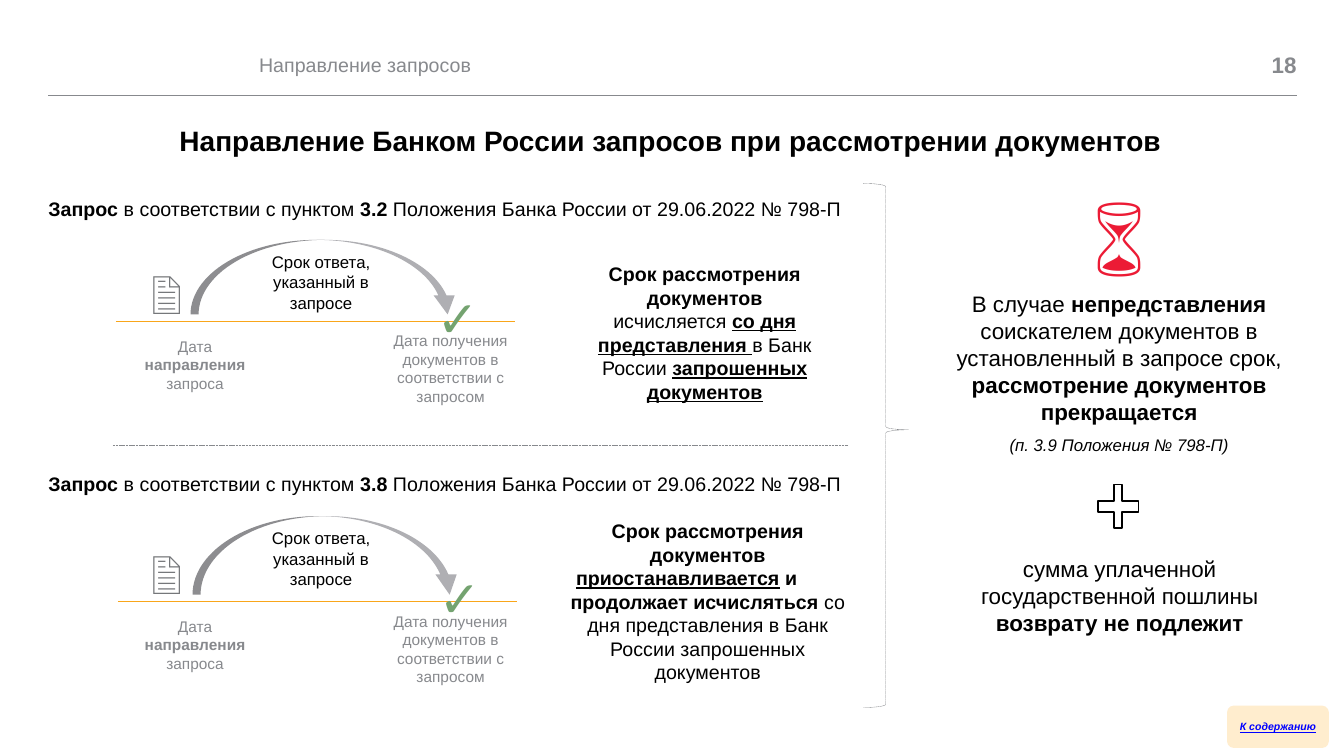
"""Builds the slide on requests sent while documents are under review."""
from math import cos, sin, pi
from lxml.etree import SubElement
from pptx import Presentation
from pptx.dml.color import RGBColor as Rgb
from pptx.enum.dml import MSO_LINE as Dash
from pptx.enum.shapes import MSO_CONNECTOR as Conn, MSO_SHAPE as Kind
from pptx.enum.text import MSO_ANCHOR as Anchor, MSO_AUTO_SIZE as Fit, PP_ALIGN as Align
from pptx.oxml.ns import qn
from pptx.util import Inches, Pt

BLACK = Rgb(0x00, 0x00, 0x00)
GREY = Rgb(0x87, 0x89, 0x8D)
DARK = Rgb(0x75, 0x77, 0x7A)
TAIL = Rgb(0x8D, 0x8D, 0x90)
HEAD = Rgb(0xAF, 0xAF, 0xB3)
GOLD = Rgb(0xF9, 0xA6, 0x1A)
GREEN = Rgb(0x74, 0xA3, 0x70)
RED = Rgb(0xEC, 0x1B, 0x35)
CREAM = Rgb(0xFF, 0xED, 0xCE)
BLUE = Rgb(0x00, 0x00, 0xFF)
SANS, ICON = "Arial", "Open Sans"

WIDE, HIGH = 13.33, 7.5
LEFT, RIGHT = 0.48, 12.86
RULE = 0.95
PAD = 0.05

TITLE = [[("Направление Банком России запросов при рассмотрении документов", "b")]]
TOPIC = [[("Направление запросов", "")]]
PAGE = [[("18", "b")]]
LINK = [[("К содержанию", "biu")]]
REPLY = [[("Срок ответа, указанный в запросе", "")]]
SENT = [[("Дата ", ""), ("направления ", "b"), ("запроса", "")]]
GOT = [[("Дата получения документов в соответствии с запросом", "")]]
TERM = ("Срок рассмотрения документов", "b")

COUNTED = [
    [TERM],
    [("исчисляется ", ""), ("со дня", "bu"), (" ", "b"), ("представления ", "bu"),
     ("в Банк России ", ""), ("запрошенных документов", "bu")],
]
PAUSED = [
    [TERM],
    [("приостанавливается", "bu"), (" и", "b")],
    [("продолжает исчисляться ", "b"),
     ("со дня представления в Банк России запрошенных документов", "")],
]
GLASS = [[("⌛", "")]]
STOP = [
    [("В случае ", ""), ("непредставления", "b")],
    [("соискателем документов в установленный в запросе срок, ", ""),
     ("рассмотрение документов", "b")],
    [("прекращается", "b")],
]
CLAUSE = [[("(п. 3.9 Положения № 798-П)", "i")]]
FEE = [[("сумма уплаченной государственной пошлины ", ""),
        ("возврату не подлежит", "b")]]

BLOCKS = [
    dict(point="3.2 ", top=1.94, axis=3.19, shift=0, rise=0.74,
         note=COUNTED, at=(5.92, 2.59, 2.14, 1.43)),
    dict(point="3.8 ", top=4.67, axis=5.97, shift=0.02, rise=0.78,
         note=PAUSED, at=(5.65, 5.14, 2.74, 1.66)),
]

deck = Presentation()
deck.slide_width, deck.slide_height = Inches(WIDE), Inches(HIGH)
slide = deck.slides.add_slide(deck.slide_layouts[5])
shapes = slide.shapes


def fill_text(frame, paras, size, color, font, align, top=0.01):
    """Write paragraphs of styled runs into a frame."""
    frame.word_wrap, frame.auto_size = True, Fit.NONE
    frame.margin_left = frame.margin_right = frame.margin_bottom = 0
    frame.margin_top = Inches(top)
    for i, runs in enumerate(paras):
        para = frame.add_paragraph() if i else frame.paragraphs[0]
        para.alignment = align
        para.space_before = Pt(1 if i == 0 else 0)
        for words, style in runs:
            run = para.add_run()
            run.text = words
            face = run.font
            face.name, face.size = font, Pt(size)
            face.color.rgb = color
            face.bold, face.italic = "b" in style, "i" in style
            face.underline = "u" in style


def write(at, paras, size, color=BLACK, font=SANS, align=Align.CENTER):
    """Add a text box, a little wider when it is centred."""
    x, y, w, h = at
    pad = PAD if align == Align.CENTER else 0
    box = shapes.add_textbox(*map(Inches, (x - pad, y, w + 2 * pad, h)))
    fill_text(box.text_frame, paras, size, color, font, align)
    return box.text_frame


def draw_line(x1, x2, y, color, width, dash=None):
    """Add a level line."""
    line = shapes.add_connector(Conn.STRAIGHT, *map(Inches, (x1, y, x2, y)))
    line.line.color.rgb, line.line.width = color, Pt(width)
    if dash:
        line.line.dash_style = dash
    SubElement(line._element.spPr, qn("a:effectLst"))


def paint(shape, fill=None, line=None, width=1):
    """Set fill and outline, and drop the shadow."""
    shape.shadow.inherit = False
    if fill is None:
        shape.fill.background()
    else:
        shape.fill.solid()
        shape.fill.fore_color.rgb = fill
    if line is None:
        shape.line.fill.background()
    else:
        shape.line.color.rgb, shape.line.width = line, Pt(width)
    return shape


def preset(kind, at, *adjust):
    """Add a preset shape."""
    shape = shapes.add_shape(kind, *map(Inches, at))
    for i, value in enumerate(adjust):
        shape.adjustments[i] = value
    return shape


def outline(points, color):
    """Add a filled closed outline."""
    spots = [(Inches(x), Inches(y)) for x, y in points]
    build = shapes.build_freeform(*spots[0])
    build.add_line_segments(spots[1:], close=True)
    paint(build.convert_to_shape(), color)


def bend(mid, base, rise, start, end):
    """Return points on an ellipse between two angles."""
    steps = 30
    turns = [start + (end - start) * i / steps for i in range(steps + 1)]
    return [(mid + 1.25 * cos(t), base - rise * sin(t)) for t in turns]


def draw_arrow(mid, base, rise):
    """Draw the curved arrow as a tail and a head."""
    gap, stop = 0.08, 0.26
    tail = bend(mid, base, rise, pi, pi / 2)
    tail += bend(mid + gap, base, rise, pi / 2, pi)
    inner = bend(mid, base, rise, pi / 2, stop)
    outer = bend(mid + gap, base, rise, stop, pi / 2)
    neck = inner[-1][1]
    tip = mid + 1.3
    barbs = [(tip - 0.14, neck), (tip, base), (tip + 0.07, neck)]
    outline(inner + barbs + outer, HEAD)
    outline(tail, TAIL)


def draw_block(point, top, axis, shift, rise, note, at):
    """Draw one request: heading, timeline and note."""
    heading = [[("Запрос ", "b"), ("в соответствии с пунктом ", ""), (point, "b"),
                ("Положения Банка России от 29.06.2022 № 798-П", "")]]
    write((LEFT, top, 8.0, 0.26), heading, 14, align=Align.LEFT)
    draw_line(1.15 + shift, 5.11 + shift, axis, GOLD, 1)
    base = axis - 0.07
    draw_arrow(3.14 + shift, base, rise)
    write((2.68, base - rise + 0.11, 1.01, 0.63), REPLY, 12)
    write((1.42, axis + 0.14, 1.03, 0.58), SENT, 11, GREY)
    write((3.89, axis + 0.09, 1.16, 0.76), GOT, 11, GREY)
    write((4.33 + shift, axis - 0.35, 0.42, 0.63), [[("✓", "")]], 36, GREEN, ICON, Align.LEFT)
    write((1.48, axis - 0.58, 0.38, 0.63), [[("🗎", "")]], 36, DARK, ICON, Align.LEFT)
    return write(at, note, 14)


draw_line(LEFT, RIGHT, RULE, GREY, 0.48)
write((2.57, 0.52, 2.3, 0.26), TOPIC, 14, GREY, align=Align.LEFT)
write((RIGHT - 0.5, 0.5, 0.5, 0.29), PAGE, 16, GREY, align=Align.RIGHT)

title = shapes.title
title.left, title.top, title.width, title.height = map(Inches, (1.68, 1.22, 9.94, 0.36))
fill_text(title.text_frame, TITLE, 20, BLACK, SANS, Align.CENTER)
title.text_frame.vertical_anchor = Anchor.TOP

notes = [draw_block(**block) for block in BLOCKS]
for para, margin in zip(notes[1].paragraphs, (0, 0.42, 0)):
    para._p.get_or_add_pPr().set("marR", str(Inches(margin)))
draw_line(1.12, 8.41, 4.42, GREY, 0.25, Dash.SQUARE_DOT)

brace = paint(preset(Kind.RIGHT_BRACE, (8.56, 1.82, 0.45, 5.2), 0.07, 0.47), None, GREY, 0.25)
brace.line.dash_style = Dash.SQUARE_DOT

verdict = write((9.47, 1.4, 3.26, 3.12), GLASS, 54, RED, ICON)
verdict.margin_top = Inches(0.44)
write((9.47, 2.87, 3.26, 1.36), STOP, 16)
write((9.47, 4.3, 3.26, 0.22), CLAUSE, 12)
paint(preset(Kind.CROSS, (10.89, 4.81, 0.4, 0.43), 0.4), None, BLACK, 0.96)
write((9.71, 5.5, 2.79, 0.83), FEE, 16)

button = paint(preset(Kind.ROUNDED_RECTANGLE, (12.17, 7, 1.01, 0.42), 0.16), CREAM)
fill_text(button.text_frame, LINK, 7.5, BLUE, SANS, Align.CENTER, 0)
button.text_frame.vertical_anchor = Anchor.MIDDLE

deck.save("out.pptx")
